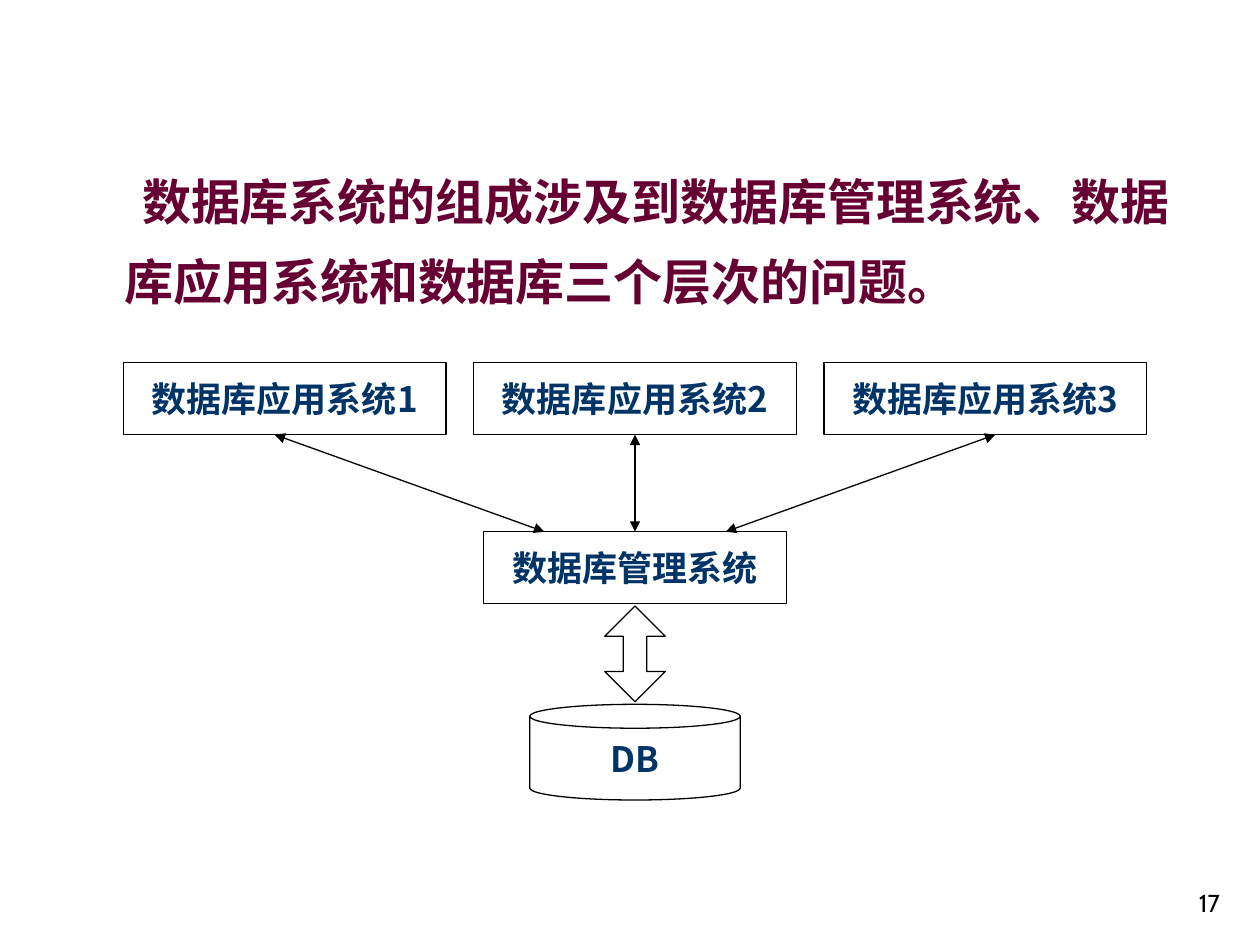
import pptx
import pptx.util
import pptx.dml.color
import pptx.enum.shapes
import pptx.enum.text
import pptx.oxml
import pptx.oxml.ns

INTRO = "数据库系统的组成涉及到数据库管理系统、数据库应用系统和数据库三个层次的问题。"
APPLICATIONS = ["数据库应用系统1", "数据库应用系统2", "数据库应用系统3"]
MANAGER = "数据库管理系统"
DATABASE = "DB"
PAGE_NUMBER = "17"

WIDTH, HEIGHT = 10, 7.5
AXIS = 5.04
COLUMN_PITCH = 2.78
APPLICATION_TOP, MANAGER_TOP, ARROW_TOP, DATABASE_TOP = 2.88, 4.22, 4.81, 5.59
BOX_HEIGHT, TALL_HEIGHT = 0.57, 0.76
LINE_SPREAD_TOP, LINE_SPREAD_BOTTOM = 2.86, 0.72

LATIN, CHINESE = "Cabin", "Noto Sans CJK SC"
BLACK, WHITE, NAVY, PLUM = "000000", "FFFFFF", "003366", "660033"

SHAPE = pptx.enum.shapes.MSO_SHAPE
ALIGN = pptx.enum.text.PP_ALIGN
ANCHOR = pptx.enum.text.MSO_ANCHOR
inches = pptx.util.Inches


def colour(value):
    """Turn a hex string into a colour."""
    return pptx.dml.color.RGBColor.from_string(value)


def element(parent, tag, **attributes):
    """Append a drawing element to its parent."""
    child = pptx.oxml.parse_xml(f'<{tag} {pptx.oxml.ns.nsdecls("a")}/>')
    for name, value in attributes.items():
        child.set(name, value)
    parent.append(child)


def write(shape, text, size, font, hue, align, anchor, bold=False):
    """Write one paragraph in a shape and return it."""
    frame = shape.text_frame
    frame.word_wrap = True
    frame.vertical_anchor = anchor
    para = frame.paragraphs[0]
    para.alignment = align
    span = para.add_run()
    span.text = text
    span.font.size = pptx.util.Pt(size)
    span.font.bold = bold
    span.font.color.rgb = colour(hue)
    span.font.name = font
    element(span.font._element, "a:ea", typeface=font)
    return para


def add_block(page, kind, centre, top, width, height, label=None):
    """Add an outlined white shape centred on a column, with an optional label."""
    block = page.shapes.add_shape(kind, inches(centre - width / 2), inches(top),
                                  inches(width), inches(height))
    block.shadow.inherit = False
    block.fill.solid()
    block.fill.fore_color.rgb = colour(WHITE)
    block.line.color.rgb = colour(BLACK)
    block.line.width = pptx.util.Pt(0.75)
    if label:
        write(block, label, 20, CHINESE, NAVY, ALIGN.CENTER, ANCHOR.MIDDLE, True)
    return block


def add_link(page, start_x, end_x):
    """Add a two-headed line from the application row to the manager."""
    link = page.shapes.add_connector(
        pptx.enum.shapes.MSO_CONNECTOR.STRAIGHT,
        inches(start_x), inches(APPLICATION_TOP + BOX_HEIGHT),
        inches(end_x), inches(MANAGER_TOP))
    link.line.color.rgb = colour(BLACK)
    link.line.width = pptx.util.Pt(0.75)
    outline = link.line._get_or_add_ln()
    element(outline, "a:headEnd", type="triangle")
    element(outline, "a:tailEnd", type="triangle")
    element(link._element.spPr, "a:effectLst")
    return link


def main():
    """Build the slide and save it."""
    deck = pptx.Presentation()
    deck.slide_width, deck.slide_height = inches(WIDTH), inches(HEIGHT)
    page = deck.slides.add_slide(deck.slide_layouts[6])

    number = page.shapes.add_textbox(inches(7.7), inches(6.83), inches(2.08), inches(0.5))
    write(number, PAGE_NUMBER, 14, LATIN, BLACK, ALIGN.RIGHT, ANCHOR.BOTTOM)

    intro = page.shapes.add_textbox(inches(0.51), inches(1.15), inches(8.98), inches(1.65))
    para = write(intro, INTRO, 28, LATIN, PLUM, ALIGN.LEFT, ANCHOR.TOP, True)
    para.line_spacing = 1.35
    para._p.pPr.set("marL", str(inches(0.38)))
    para._p.pPr.set("indent", str(inches(0.14)))

    applications = [
        add_block(page, SHAPE.RECTANGLE, AXIS + (column - 1) * COLUMN_PITCH,
                  APPLICATION_TOP, 2.56, BOX_HEIGHT, label)
        for column, label in enumerate(APPLICATIONS)]
    manager = add_block(page, SHAPE.RECTANGLE, AXIS, MANAGER_TOP, 2.4, BOX_HEIGHT, MANAGER)

    database = add_block(page, SHAPE.CAN, AXIS, DATABASE_TOP, 1.67, TALL_HEIGHT, DATABASE)
    database.adjustments[0] = 0.25
    database.text_frame.margin_top = database.text_frame.margin_bottom = 0

    arrow = add_block(page, SHAPE.UP_DOWN_ARROW, AXIS, ARROW_TOP, 0.48, TALL_HEIGHT)
    arrow.adjustments[0], arrow.adjustments[1] = 0.5, 0.39

    for side in (-1, 0, 1):
        link = add_link(page, AXIS + side * LINE_SPREAD_TOP, AXIS + side * LINE_SPREAD_BOTTOM)
        if side == 0:
            link.begin_connect(applications[1], 2)
            link.end_connect(manager, 0)

    deck.save("out.pptx")


if __name__ == "__main__":
    main()
